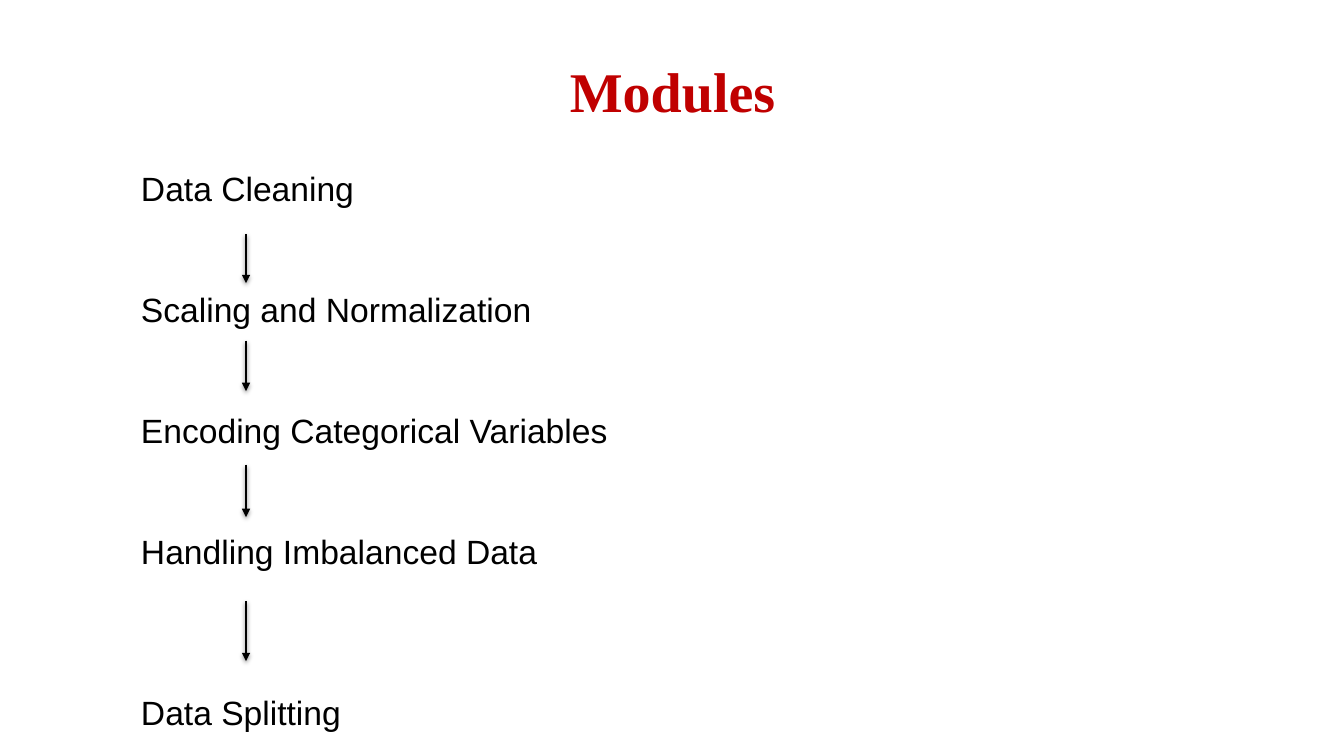
from lxml import etree
from pptx import Presentation
from pptx.dml.color import RGBColor
from pptx.enum.shapes import MSO_CONNECTOR
from pptx.enum.text import MSO_ANCHOR, PP_ALIGN
from pptx.oxml.ns import qn
from pptx.util import Inches, Pt

STRAIGHT = MSO_CONNECTOR.STRAIGHT
BOTTOM, TOP = MSO_ANCHOR.BOTTOM, MSO_ANCHOR.TOP
CENTER, LEFT = PP_ALIGN.CENTER, PP_ALIGN.LEFT

RED, BLACK = "C00000", "000000"
LINE_PITCH = 28.8
# Each module with the number of empty lines above it.
MODULES = [
    ("Data Cleaning", 0),
    ("Scaling and Normalization", 2),
    ("Encoding Categorical Variables", 2),
    ("Handling Imbalanced Data", 2),
    ("Data Splitting", 3),
]
ARROW_X = 2.44
ARROW_SPANS = [(2.32, 2.81), (3.38, 3.88), (4.61, 5.13), (5.96, 6.56)]


def rgb(color):
    return RGBColor.from_string(color)


def add_text_frame(s, left, top, width, height, anchor):
    tf = s.shapes.add_textbox(
        Inches(left), Inches(top), Inches(width), Inches(height)).text_frame
    tf.word_wrap = True
    tf.vertical_anchor = anchor
    return tf


def format_paragraph(p, font, size, color, align=LEFT, bold=False):
    p.alignment = align
    for r in p.runs:
        r.font.name = font
        r.font.size = Pt(size)
        r.font.bold = bold
        r.font.color.rgb = rgb(color)


def add_title(s, text):
    tf = add_text_frame(s, 5.15, 0.59, 3.04, 0.64, BOTTOM)
    tf.margin_left = tf.margin_right = tf.margin_bottom = 0
    tf.text = text
    format_paragraph(tf.paragraphs[0], "Times New Roman", 40, RED, CENTER, True)


def add_modules(s):
    tf = add_text_frame(s, 1.3, 1.62, 11.71, 5.76, TOP)
    tf.text = "\n".join(name for name, _ in MODULES)
    for p, (_, gap) in zip(tf.paragraphs, MODULES):
        p.line_spacing = Pt(LINE_PITCH)
        p.space_before = Pt(gap * LINE_PITCH)
        format_paragraph(p, "Arial", 24, BLACK)


def add_shadow(connector):
    """Give the connector a soft shadow straight below it."""
    effects = etree.SubElement(connector._element.spPr, qn("a:effectLst"))
    shadow = etree.SubElement(
        effects, qn("a:outerShdw"), blurRad=str(Pt(3.1)), dist=str(Pt(1.6)),
        dir="5400000", rotWithShape="0")
    color = etree.SubElement(shadow, qn("a:srgbClr"), val=BLACK)
    etree.SubElement(color, qn("a:alpha"), val="38000")


def add_down_arrow(s, x, top, bottom):
    arrow = s.shapes.add_connector(
        STRAIGHT, Inches(x), Inches(top), Inches(x), Inches(bottom))
    arrow.line.color.rgb = rgb(BLACK)
    arrow.line.width = Pt(2)
    etree.SubElement(arrow.line._get_or_add_ln(), qn("a:tailEnd"), type="triangle")
    add_shadow(arrow)


def main():
    prs = Presentation()
    prs.slide_width, prs.slide_height = Inches(13.33), Inches(7.5)
    s = prs.slides.add_slide(prs.slide_layouts[6])
    add_title(s, "Modules")
    add_modules(s)
    for top, bottom in ARROW_SPANS:
        add_down_arrow(s, ARROW_X, top, bottom)
    prs.save("out.pptx")


if __name__ == "__main__":
    main()
